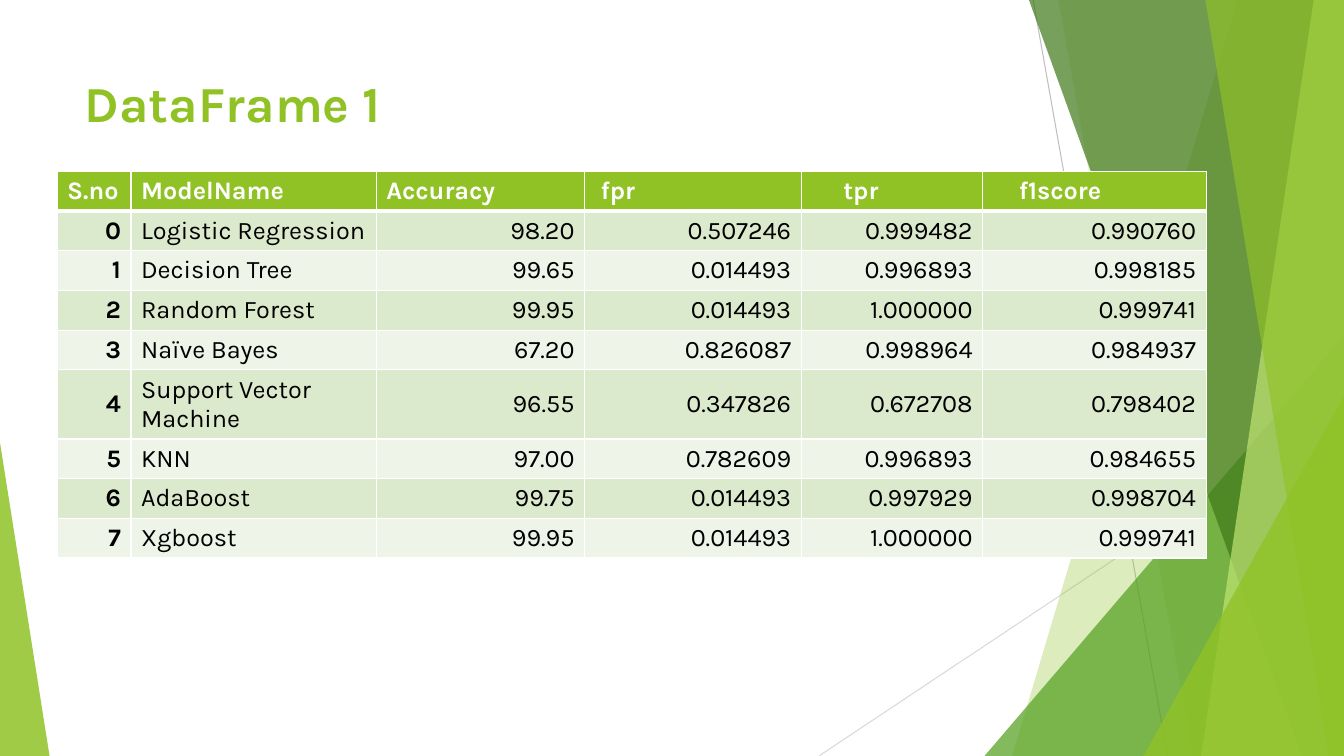
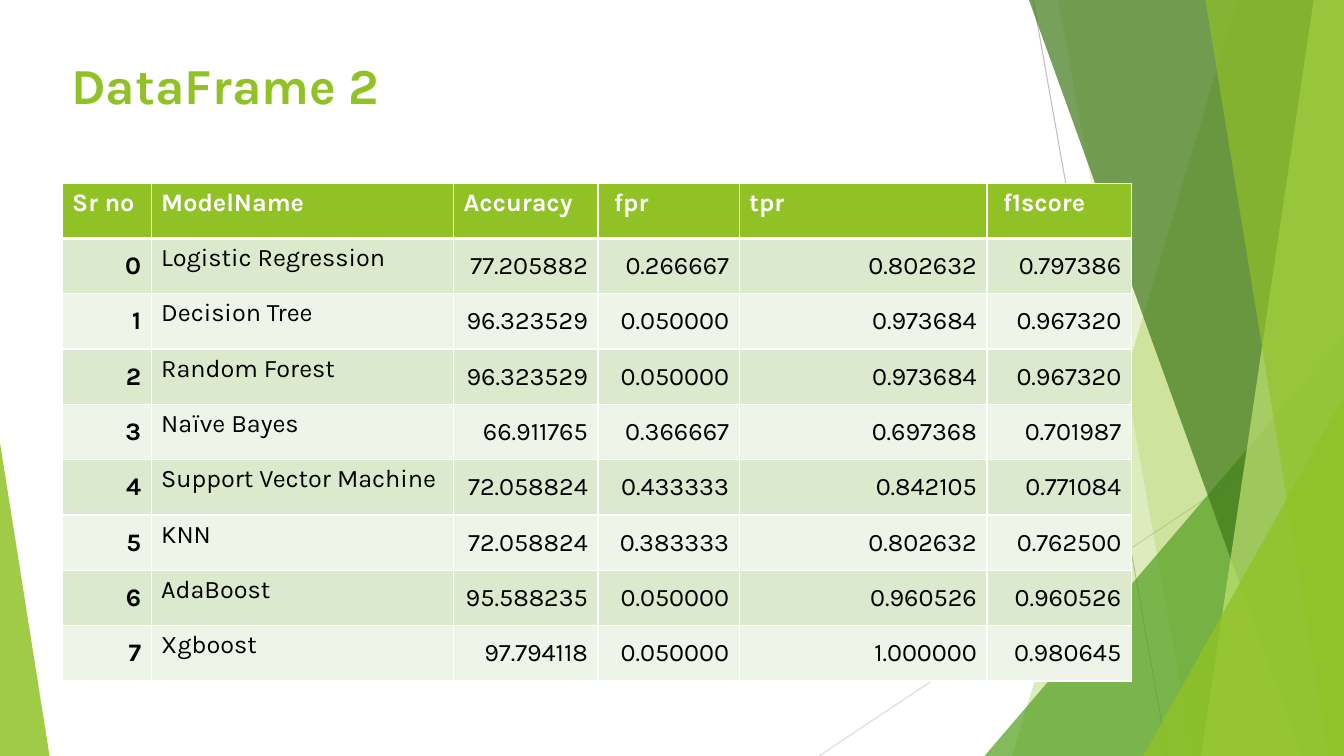
"""Build two slides that compare model scores in tables over a faceted green backdrop."""
from dataclasses import dataclass, field
from typing import Any

from lxml import etree
from pptx import Presentation
from pptx import util as u
from pptx.dml import color
from pptx.enum import shapes, text
from pptx.oxml import ns

COLS, ROWS = 160, 90
UNIT = u.Inches(7.5) / ROWS
FONT = "Karla"
GREEN, WHITE, BLACK = "90C226", "FFFFFF", "000000"
BANDS = ("DBE9CD", "EEF4E8")
CELL_MARGIN = 1.2
TITLE_SIZE = (112.8, 17.3)
MODELS = ("Logistic Regression", "Decision Tree", "Random Forest", "Naïve Bayes",
          "Support Vector Machine", "KNN", "AdaBoost", "Xgboost")


@dataclass
class Ray:
    start: tuple[float, float]
    end: tuple[float, float]
    hue: str


@dataclass
class Blade:
    top_x: float
    bottom_x: float
    hue: str
    alpha: int


@dataclass
class Corner:
    left: float
    top: float
    width: float
    apex: int
    hue: str
    alpha: int


@dataclass
class ScoreSlide:
    title: str
    title_at: tuple[float, float]
    table_at: tuple[float, float]
    widths: tuple[float, ...]
    row_height: float
    number_head: str
    scores: tuple[str, ...]
    indents: dict[int, float]
    tall_rows: dict[int, float] = field(default_factory=dict)


RAYS = (
    Ray((123, 0), (139, ROWS), "BFBFBF"),
    Ray((COLS, 48.4), (97.5, ROWS), "D9D9D9"),
)
FACETS = (
    Blade(147.3, 120.5, GREEN, 30),
    Blade(126, 142, GREEN, 20),
    Corner(117.2, 40, 42.8, 1, "54A021", 72),
    Blade(122.5, 155, "3F7819", 70),
    Blade(156.4, 143, "C0E474", 70),
    Blade(143.5, 158.2, GREEN, 65),
    Corner(136.1, 47.2, 23.9, 1, GREEN, 80),
    Corner(0, 52.7, 5.9, 0, GREEN, 85),
)
SLIDES = (
    ScoreSlide(
        "DataFrame 1", (8.9, 8), (6.8, 20.4),
        (8.8, 29.2, 24.8, 25.8, 21.6, 26.6), 4.4, "S.no",
        ("98.20 0.507246 0.999482 0.990760",
         "99.65 0.014493 0.996893 0.998185",
         "99.95 0.014493 1.000000 0.999741",
         "67.20 0.826087 0.998964 0.984937",
         "96.55 0.347826 0.672708 0.798402",
         "97.00 0.782609 0.996893 0.984655",
         "99.75 0.014493 0.997929 0.998704",
         "99.95 0.014493 1.000000 0.999741"),
        {3: 0.7, 4: 3.8, 5: 3.1}, {5: 7.8}),
    ScoreSlide(
        "DataFrame 2", (7.3, 5.8), (7.4, 21.8),
        (10.6, 36, 17.2, 16.8, 29.5, 17.2), 6.59, "Sr no",
        ("77.205882 0.266667 0.802632 0.797386",
         "96.323529 0.050000 0.973684 0.967320",
         "96.323529 0.050000 0.973684 0.967320",
         "66.911765 0.366667 0.697368 0.701987",
         "72.058824 0.433333 0.842105 0.771084",
         "72.058824 0.383333 0.802632 0.762500",
         "95.588235 0.050000 0.960526 0.960526",
         "97.794118 0.050000 1.000000 0.980645"),
        {3: 0.7, 5: 0.7}),
)


def grid(*values: float) -> list[u.Emu]:
    """Turn grid columns or rows into lengths."""
    return [u.Emu(round(v * UNIT)) for v in values]


def rgb(hue: str) -> color.RGBColor:
    """Turn a hex string into a colour."""
    return color.RGBColor.from_string(hue)


def apply(obj: Any, values: dict[str, Any]) -> None:
    """Set every attribute named in a dict of format values."""
    for name, value in values.items():
        setattr(obj, name, value)


def write(p: Any, words: str, size: int, hue: str, bold: bool) -> None:
    """Add one formatted run to a paragraph."""
    r = p.add_run()
    r.text = words
    apply(r.font, {"name": FONT, "size": u.Pt(size), "bold": bold})
    r.font.color.rgb = rgb(hue)


def draw_ray(s: Any, ray: Ray) -> Any:
    """Draw one thin grey line."""
    line = s.shapes.add_connector(shapes.MSO_CONNECTOR.STRAIGHT, *grid(*ray.start, *ray.end))
    line.line.width = u.Pt(0.75)
    line.line.color.rgb = rgb(ray.hue)
    etree.SubElement(line.element.spPr, ns.qn("a:effectLst"))
    return line


def draw_facet(s: Any, facet: Blade | Corner) -> Any:
    """Draw one see-through facet."""
    if isinstance(facet, Blade):
        points = [(facet.top_x, 0), (COLS, 0), (COLS, ROWS), (facet.bottom_x, ROWS)]
        start, *rest = [tuple(grid(*point)) for point in points]
        builder = s.shapes.build_freeform(*start)
        builder.add_line_segments(rest, close=True)
        sp = builder.convert_to_shape()
    else:
        box = grid(facet.left, facet.top, facet.width, ROWS - facet.top)
        sp = s.shapes.add_shape(shapes.MSO_SHAPE.ISOSCELES_TRIANGLE, *box)
        sp.adjustments[0] = facet.apex
    sp.shadow.inherit = False
    sp.line.fill.background()
    sp.fill.solid()
    sp.fill.fore_color.rgb = rgb(facet.hue)
    clr = sp.element.spPr.find(".//" + ns.qn("a:srgbClr"))
    etree.SubElement(clr, ns.qn("a:alpha"), val=str(facet.alpha * 1000))
    return sp


def dress_layout(s: Any) -> None:
    """Draw the backdrop and move it to the layout that the slides share."""
    layout = s.slide_layout
    for ph in list(layout.placeholders)[1:]:
        ph.element.getparent().remove(ph.element)
    backdrop = [draw_ray(s, ray) for ray in RAYS] + [draw_facet(s, f) for f in FACETS]
    for sp in backdrop:
        layout.shapes.element.append(sp.element)


def set_title(s: Any, spec_row: ScoreSlide) -> None:
    """Place and format the title."""
    title = s.shapes.title
    apply(title, dict(zip(("left", "top", "width", "height"),
                          grid(*spec_row.title_at, *TITLE_SIZE))))
    tf = title.text_frame
    apply(tf, {"vertical_anchor": text.MSO_ANCHOR.TOP, "word_wrap": True,
               "auto_size": text.MSO_AUTO_SIZE.NONE})
    p = tf.paragraphs[0]
    p.alignment = text.PP_ALIGN.LEFT
    write(p, spec_row.title, 36, GREEN, True)


def set_borders(tc_pr: Any, row: int) -> None:
    """Give a cell white borders, heavier between header and body."""
    heavy = {0: "lnB", 1: "lnT"}.get(row)
    for i, side in enumerate(("lnL", "lnR", "lnT", "lnB")):
        width = u.Pt(3 if side == heavy else 1)
        ln = etree.Element(ns.qn(f"a:{side}"), w=str(width))
        fill = etree.SubElement(ln, ns.qn("a:solidFill"))
        etree.SubElement(fill, ns.qn("a:srgbClr"), val=WHITE)
        tc_pr.insert(i, ln)


def add_scores(s: Any, data: ScoreSlide) -> None:
    """Add the table of scores."""
    records = [(data.number_head, "ModelName", "Accuracy", "fpr", "tpr", "f1score")]
    records += [(str(i), model, *scores.split())
                for i, (model, scores) in enumerate(zip(MODELS, data.scores))]
    heights = [data.tall_rows.get(i, data.row_height) for i in range(len(records))]
    size = grid(sum(data.widths), sum(heights))
    frame = s.shapes.add_table(len(records), len(data.widths), *grid(*data.table_at), *size)
    table = frame.table
    for column, width in zip(table.columns, grid(*data.widths)):
        column.width = width
    for row, height in zip(table.rows, grid(*heights)):
        row.height = height
    for i, record in enumerate(records):
        for j, words in enumerate(record):
            cell = table.cell(i, j)
            cell.fill.solid()
            cell.fill.fore_color.rgb = rgb(BANDS[(i - 1) % 2] if i else GREEN)
            p = cell.text_frame.paragraphs[0]
            if i == 0:
                cell.margin_left = grid(CELL_MARGIN + data.indents.get(j, 0))[0]
            elif j != 1:
                cell.vertical_anchor = text.MSO_ANCHOR.MIDDLE
                p.alignment = text.PP_ALIGN.RIGHT
            write(p, words, 18, BLACK if i else WHITE, i == 0 or j == 0)
    for k, tc_pr in enumerate(frame.element.iter(ns.qn("a:tcPr"))):
        set_borders(tc_pr, k // len(data.widths))


def main() -> None:
    """Build and save the presentation."""
    prs = Presentation()
    apply(prs, dict(zip(("slide_width", "slide_height"), grid(COLS, ROWS))))
    layout = prs.slide_layouts[5]
    for i, data in enumerate(SLIDES):
        s = prs.slides.add_slide(layout)
        if i == 0:
            dress_layout(s)
        set_title(s, data)
        add_scores(s, data)
    prs.save("out.pptx")


if __name__ == "__main__":
    main()
